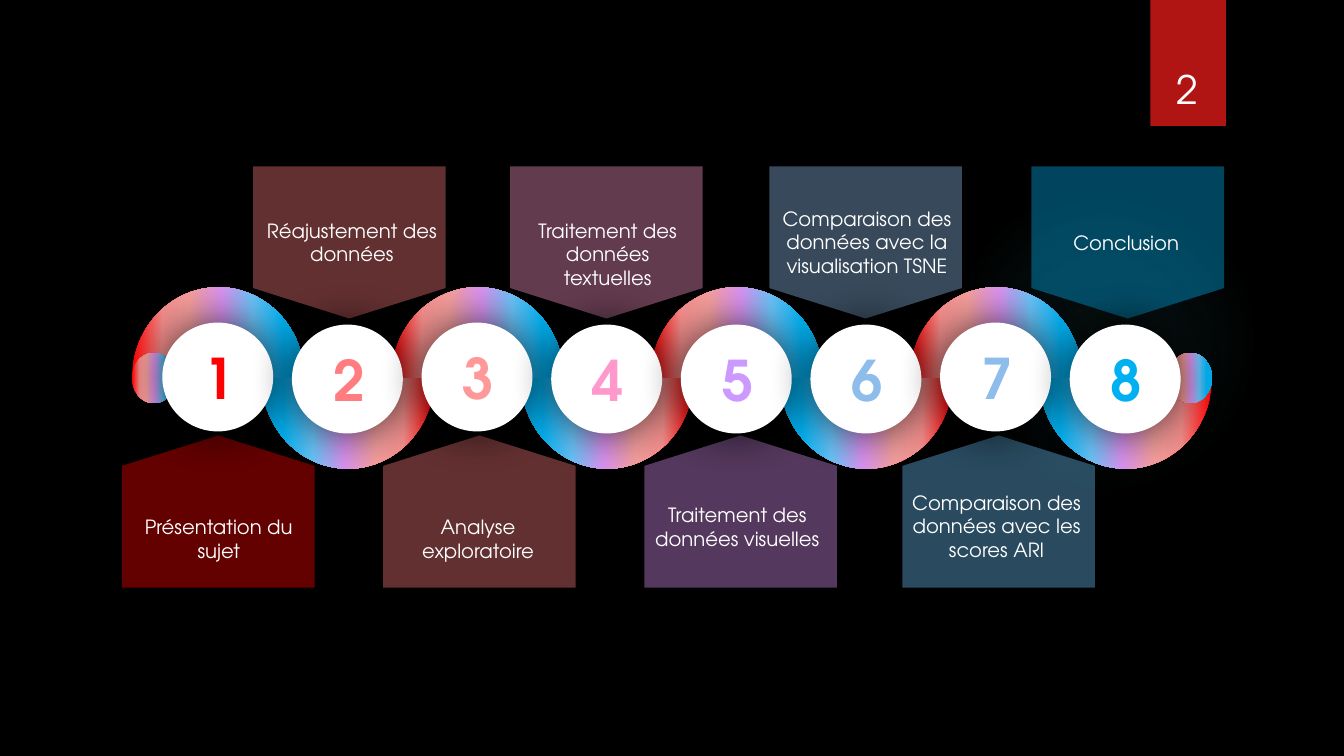
import dataclasses

import lxml.etree
import pptx
import pptx.dml.color
import pptx.enum.shapes
import pptx.enum.text
import pptx.oxml.ns
import pptx.util

Inches = pptx.util.Inches
SHAPES = pptx.enum.shapes.MSO_SHAPE
qn = pptx.oxml.ns.qn


@dataclasses.dataclass(frozen=True)
class Theme:
    """Colours, font and type sizes of the slide."""
    background: str = "000000"
    light: str = "FFFFFF"
    shadow: str = "000000"
    tag: str = "B01513"
    glow: tuple = ((0, "50B9C1", 7), (36, "50B9C1", 6), (69, "50B9C1", 0))
    ribbon: tuple = ((0, "FF0000", 100), (18, "F38F8D", 100), (34, "F49E9D", 100),
                     (52, "DA92F0", 100), (70, "6AC1F6", 100), (88, "00B0F0", 100),
                     (100, "00B0F0", 100))
    banner_alpha: int = 39
    font: str = "TeX Gyre Adventor"
    label_size: int = 14
    page_size: int = 28
    digit_size: int = 40


@dataclasses.dataclass(frozen=True)
class Box:
    """A region of the slide, in inches."""
    left: float
    top: float
    width: float
    height: float


@dataclasses.dataclass(frozen=True)
class Step:
    """One agenda step; offsets are inches from the region it stands in."""
    label: str
    digit_color: str
    banner_color: str
    banner_left: float
    label_top: float
    disc_top: float = 0.37
    label_width: float = 1.92


THEME = Theme()
STEPS = [
    Step("Présentation du sujet", "FF0000", "FF0000", 0, 3.41, disc_top=0.35),
    Step("Réajustement des données", "FF7C80", "FF7C80", 1.3, 0.47, label_width=1.99),
    Step("Analyse exploratoire", "FF9999", "FF7C80", 2.59, 3.41, disc_top=0.35),
    Step("Traitement des données textuelles", "FF99CC", "FF99CC", 3.85, 0.47),
    Step("Traitement des données visuelles", "CC99FF", "DA92F0", 5.18, 3.29),
    Step("Comparaison des données avec la visualisation TSNE", "8FBDEB", "8FBDEB", 6.42, 0.35),
    Step("Comparaison des données avec les scores ARI", "8FBDEB", "6AC1F6", 7.74, 3.17,
         disc_top=0.35),
    Step("Conclusion", "00B0F0", "00B0F0", 9.02, 0.59),
]


def add_child(parent, tag, **attributes):
    """Append a drawing element with the given attributes."""
    child = lxml.etree.SubElement(parent, qn(tag))
    for name, value in attributes.items():
        child.set(name, str(value))
    return child


def set_alpha(color_element, percent):
    """Give a colour element its opacity."""
    add_child(color_element, "a:alpha", val=percent * 1000)


def add_plain_shape(slide, kind, left, top, width, height, color=None):
    """Add a shape without line or shadow, filled if a colour is given."""
    shape = slide.shapes.add_shape(
        kind, Inches(left), Inches(top), Inches(width), Inches(height))
    shape.shadow.inherit = False
    shape.line.fill.background()
    if color:
        shape.fill.solid()
        shape.fill.fore_color.rgb = pptx.dml.color.RGBColor.from_string(color)
    return shape


def set_gradient(shape, stops, radial=False):
    """Fill a shape with a left-to-right or radial gradient."""
    shape.fill.gradient()
    gradient = shape._element.spPr.find(qn("a:gradFill"))
    for child in list(gradient):
        gradient.remove(child)
    stop_list = add_child(gradient, "a:gsLst")
    for position, color, alpha in stops:
        stop = add_child(stop_list, "a:gs", pos=position * 1000)
        color_element = add_child(stop, "a:srgbClr", val=color)
        if alpha < 100:
            set_alpha(color_element, alpha)
    if radial:
        focus = add_child(gradient, "a:path", path="circle")
        add_child(focus, "a:fillToRect", l=50000, t=50000, r=50000, b=50000)
    else:
        add_child(gradient, "a:lin", ang=0, scaled=0)


def set_shadow(shape, alpha, blur, distance=0, angle=0):
    """Give a shape an outer shadow; blur and distance are in points."""
    effects = shape._element.spPr.find(qn("a:effectLst"))
    shadow = add_child(effects, "a:outerShdw", blurRad=pptx.util.Pt(blur),
                       dist=pptx.util.Pt(distance), dir=angle * 60000,
                       algn="ctr", rotWithShape=0)
    set_alpha(add_child(shadow, "a:srgbClr", val=THEME.shadow), alpha)


def add_text(slide, text, left, top, width, height, size, color=THEME.light,
             bold=False, centred=True, wrap=True):
    """Add a text box of one paragraph and return its text frame."""
    text_box = slide.shapes.add_textbox(
        Inches(left), Inches(top), Inches(width), Inches(height))
    text_frame = text_box.text_frame
    text_frame.word_wrap = wrap
    text_frame.text = text
    paragraph = text_frame.paragraphs[0]
    if centred:
        paragraph.alignment = pptx.enum.text.PP_ALIGN.CENTER
    font = paragraph.runs[0].font
    font.name = THEME.font
    font.size = pptx.util.Pt(size)
    font.bold = bold
    font.color.rgb = pptx.dml.color.RGBColor.from_string(color)
    return text_frame


def add_glow(slide, box):
    """Draw the faint round glow of the backdrop."""
    glow = add_plain_shape(slide, SHAPES.OVAL, box.left, box.top, box.width, box.height)
    set_gradient(glow, THEME.glow, radial=True)


def add_page_tag(slide, box, number):
    """Draw the red tag with the page number at its foot."""
    tag = add_plain_shape(slide, SHAPES.RECTANGLE, box.left, box.top,
                          box.width, box.height, THEME.tag)
    set_shadow(tag, 45, 3, 2, 90)
    text_frame = add_text(slide, number, box.left - 0.09, box.top + 0.32,
                          box.width + 0.17, 0.84, THEME.page_size)
    text_frame.vertical_anchor = pptx.enum.text.MSO_ANCHOR.BOTTOM


def add_banners(slide, box, steps):
    """Draw the pointed banners, odd steps below and even steps above."""
    height = 1.51
    pitch = 9 / (len(steps) - 1)
    for index, step in enumerate(steps):
        below = index % 2 == 0
        top = box.top + (box.height - height if below else 0)
        banner = add_plain_shape(slide, SHAPES.FLOWCHART_OFFPAGE_CONNECTOR,
                                 box.left + step.banner_left, top, 1.91, height,
                                 step.banner_color)
        set_alpha(banner._element.spPr.find(qn("a:solidFill"))[0], THEME.banner_alpha)
        if below:
            banner._element.spPr.find(qn("a:xfrm")).set("flipV", "1")
        add_text(slide, step.label, box.left + index * pitch, box.top + step.label_top,
                 step.label_width, 0.57, THEME.label_size)


def add_ribbon(slide, box, steps):
    """Draw the winding ribbon with its end caps and numbered discs."""
    arc_width, cap_width = 1.71, 0.43
    pitch = (box.width - arc_width) / (len(steps) - 1)
    lefts = [box.left + index * pitch for index in range(len(steps))]
    for index, left in enumerate(lefts):
        arc = add_plain_shape(slide, SHAPES.BLOCK_ARC, left, box.top, arc_width, box.height)
        arc.rotation = 180 * (index % 2)
        set_gradient(arc, THEME.ribbon)
    for left in (box.left, box.left + box.width - cap_width):
        cap = add_plain_shape(slide, SHAPES.OVAL, left, box.top + 0.65, cap_width, 0.5)
        set_gradient(cap, THEME.ribbon)
    for left, step in zip(lefts, steps):
        disc = add_plain_shape(slide, SHAPES.OVAL, left + 0.3, box.top + step.disc_top,
                               1.1, 1.08, THEME.light)
        set_shadow(disc, 75, 33)
    for number, (left, step) in enumerate(zip(lefts, steps), 1):
        add_text(slide, str(number), left + 0.61, box.top + step.disc_top + 0.16, 0.49, 0.77,
                 THEME.digit_size, step.digit_color, bold=True, centred=False, wrap=False)


def build_agenda(presentation):
    """Build the agenda slide."""
    slide = presentation.slides.add_slide(presentation.slide_layouts[6])
    background = slide.background.fill
    background.solid()
    background.fore_color.rgb = pptx.dml.color.RGBColor.from_string(THEME.background)
    add_glow(slide, Box(9.41, 1.83, 3.08, 3.08))
    add_page_tag(slide, Box(11.41, 0, 0.75, 1.25), "2")
    add_banners(slide, Box(1.21, 1.65, 10.93, 4.18), STEPS)
    add_ribbon(slide, Box(1.31, 2.85, 10.71, 1.8), STEPS)


presentation = pptx.Presentation()
presentation.slide_width = Inches(13.33)
presentation.slide_height = Inches(7.5)
build_agenda(presentation)
presentation.save("out.pptx")
